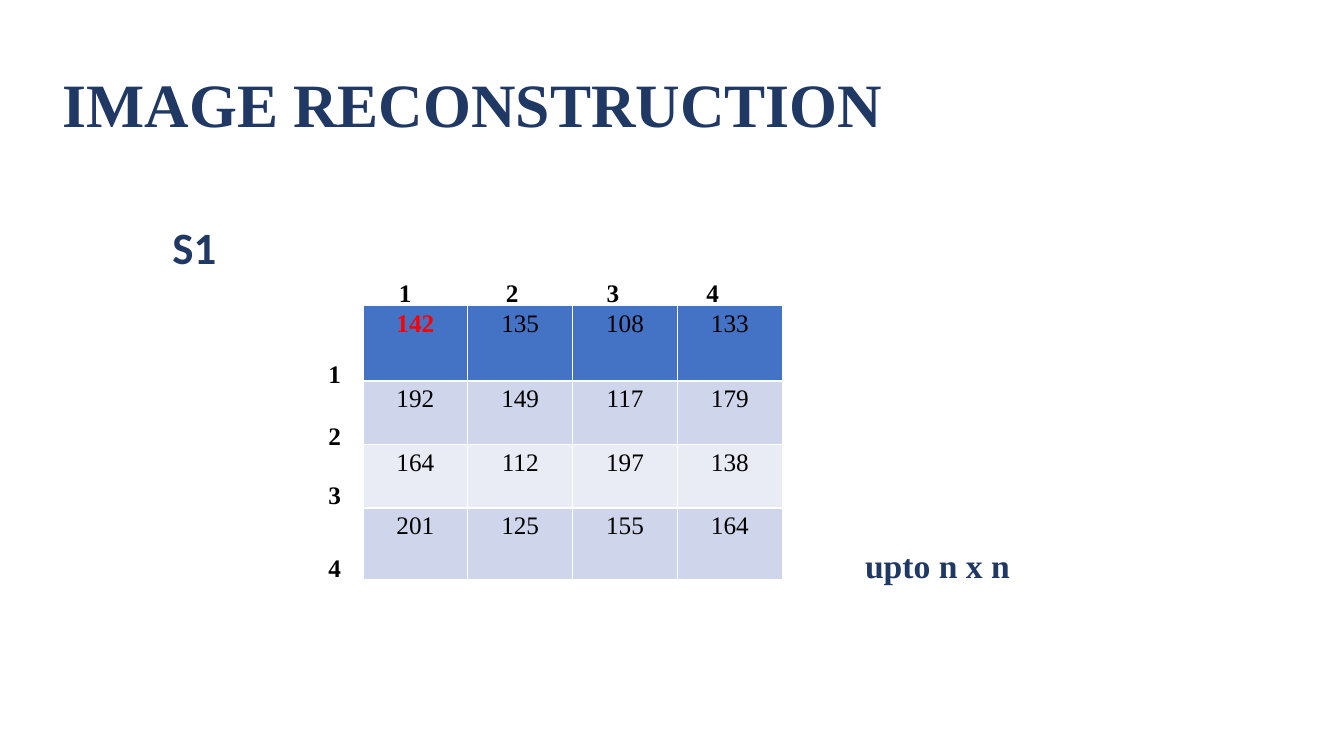
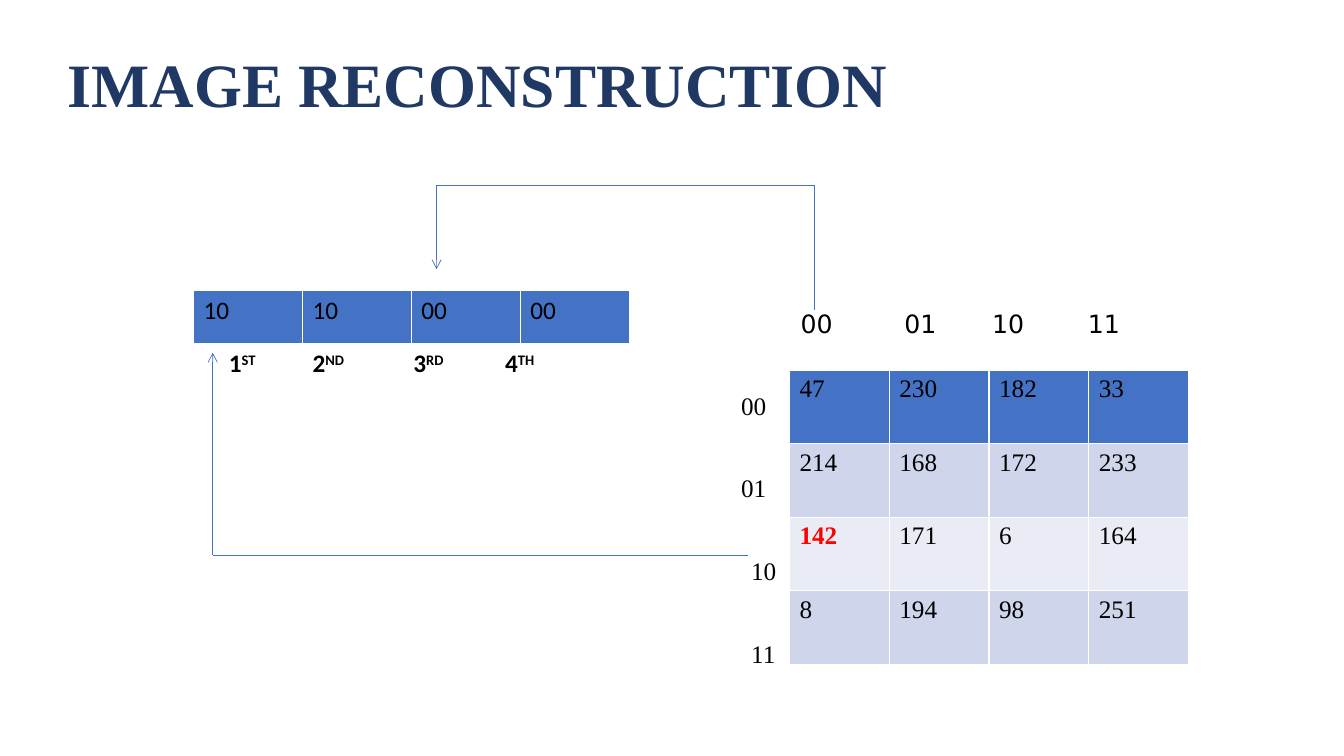
from lxml.etree import SubElement
from pptx import Presentation
from pptx.dml.color import RGBColor as RGB
from pptx.enum.shapes import MSO_CONNECTOR as CONN
from pptx.enum.text import MSO_ANCHOR as ANCHOR, PP_ALIGN as ALIGN
from pptx.oxml import parse_xml
from pptx.oxml.ns import nsdecls, qn
from pptx.util import Pt

PX = 9144  # 100 px to the inch
C = {"navy": "203864", "black": "000000", "red": "FF0000", "white": "FFFFFF",
     "blue": "4472C4", "band": "CFD5EA", "pale": "E9EBF5"}
SERIF, SANS, MONO = "Times New Roman", "Calibri", "DejaVu Sans"
ROW_FILLS = ["blue", "band", "pale", "band"]
MARKED = "142"


def add_text(s, x, mid, w, runs, size=18, font=SERIF, color="black", bold=False, align=ALIGN.LEFT):
    """One line of text, centred vertically on mid; runs are (text, superscript %)."""
    h = 60
    tf = s.shapes.add_textbox(x * PX, (mid - h // 2) * PX, w * PX, h * PX).text_frame
    tf.word_wrap = True
    tf.vertical_anchor = ANCHOR.MIDDLE
    tf.margin_left = tf.margin_right = tf.margin_top = tf.margin_bottom = 0
    p = tf.paragraphs[0]
    p.alignment = align
    for text, raised in runs:
        r = p.add_run()
        r.text = text
        r.font.size, r.font.name, r.font.bold = Pt(size), font, bold
        r.font.color.rgb = RGB.from_string(C[color])
        if raised:
            r.font._element.set("baseline", str(raised * 1000))
    return p


def add_grid(s, x, y, col_w, row_hs, rows, font=SERIF, margins=(10, 5), centred=False):
    n = len(rows[0])
    tbl = s.shapes.add_table(len(rows), n, x * PX, y * PX, n * col_w * PX, sum(row_hs) * PX).table
    tbl.first_row = tbl.horz_banding = False
    for col in tbl.columns:
        col.width = col_w * PX
    for i, values in enumerate(rows):
        tbl.rows[i].height = row_hs[i] * PX
        for j, value in enumerate(values):
            cell = tbl.cell(i, j)
            cell.margin_left = cell.margin_right = margins[0] * PX
            cell.margin_top = cell.margin_bottom = margins[1] * PX
            cell.fill.solid()
            cell.fill.fore_color.rgb = RGB.from_string(C[ROW_FILLS[i]])
            for k, side in enumerate("LRTB"):
                cell._tc.tcPr.insert(k, parse_xml(
                    f'<a:ln{side} {nsdecls("a")} w="12700"><a:solidFill>'
                    f'<a:srgbClr val="{C["white"]}"/></a:solidFill></a:ln{side}>'))
            p = cell.text_frame.paragraphs[0]
            if centred:
                p.alignment, p.line_spacing, p.space_after = ALIGN.CENTER, 1.15, Pt(10)
            r = p.add_run()
            r.text = value
            r.font.size, r.font.name, r.font.bold = Pt(18), font, value == MARKED
            r.font.color.rgb = RGB.from_string(C["red" if value == MARKED else "black"])


prs = Presentation()
prs.slide_width, prs.slide_height = 1333 * PX, 750 * PX

# Slides with the shared title
slides = []
for x, mid in [(62, 107), (67, 87)]:
    s = prs.slides.add_slide(prs.slide_layouts[6])
    p = add_text(s, x, mid, 1130, [("IMAGE RECONSTRUCTION", 0)], 44, color="navy", bold=True)
    p.line_spacing = 0.9
    slides.append(s)
share, lookup = slides

# Slide 1: share matrix with row and column numbers
add_text(share, 171, 245, 100, [("S1", 0)], 32, SANS, "navy", True)
for i, (x, mid) in enumerate(zip([402, 508, 608, 707], [370, 432, 491, 563]), 1):
    for cx, cy in [(x, 290), (332, mid)]:
        add_text(share, cx - 20, cy, 40, [(str(i), 0)], bold=True, align=ALIGN.CENTER)
add_grid(share, 360, 303, 104, [75, 63, 63, 71],
         [["142", "135", "108", "133"],
          ["192", "149", "117", "179"],
          ["164", "112", "197", "138"],
          ["201", "125", "155", "164"]], margins=(7, 0), centred=True)
add_text(share, 858, 561, 200, [("upto n x n", 0)], 24, color="navy", bold=True)

# Slide 2: bit pairs with their ordinals
add_grid(lookup, 192, 288, 108, [53], [["10", "10", "00", "00"]], SANS)
for i, (x, suffix) in enumerate(zip([227, 310, 410, 501], ["ST", "ND", "RD", "TH"]), 1):
    add_text(lookup, x, 360, 60, [(str(i), 0), (suffix, 30)], font=SANS, bold=True)

# Slide 2: lookup matrix with binary addresses
add_grid(lookup, 783, 367, 99, [73, 73, 73, 73],
         [["47", "230", "182", "33"],
          ["214", "168", "172", "233"],
          ["142", "171", "6", "164"],
          ["8", "194", "98", "251"]])
for i, (code, x, left) in enumerate(zip(["00", "01", "10", "11"],
                                        [794, 897, 984, 1079], [735, 735, 745, 745])):
    add_text(lookup, x, 321, 60, [(code, 0)], font=MONO)
    add_text(lookup, left, 402 + 82 * i, 36, [(code, 0)])

# Slide 2: routes from the addresses to the bit pairs, arrow on the last leg
for route in [[(808, 308), (808, 184), (433, 184), (433, 267)],
              [(742, 551), (211, 551), (211, 350)]]:
    for start, end in zip(route, route[1:]):
        leg = lookup.shapes.add_connector(CONN.STRAIGHT, *(v * PX for v in start + end))
        leg.line.color.rgb = RGB.from_string(C["blue"])
        leg.line.width = Pt(0.5)
        if end == route[-1]:
            SubElement(leg.line._get_or_add_ln(), qn("a:tailEnd"), type="arrow")
        SubElement(leg._element.spPr, qn("a:effectLst"))

prs.save("out.pptx")
